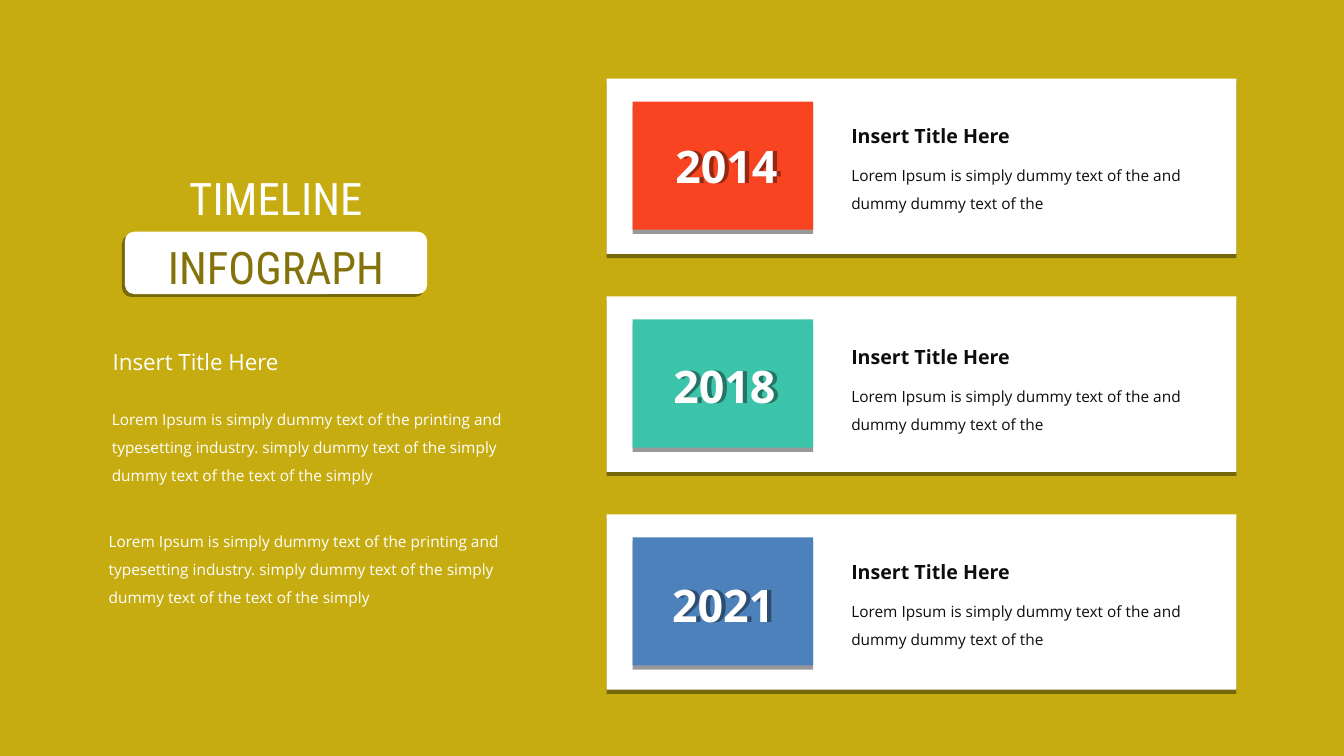
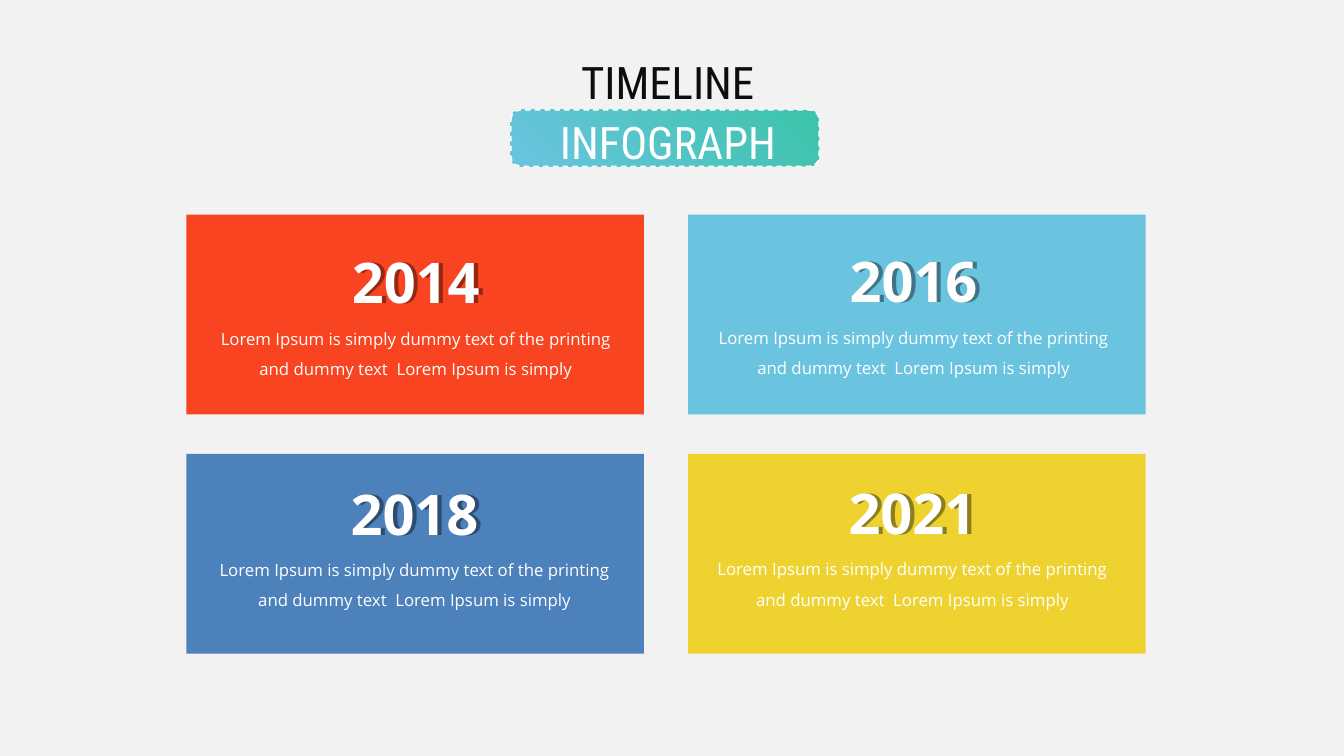
from lxml import etree
from pptx import Presentation
from pptx.dml.color import RGBColor
from pptx.enum import dml, shapes, text
from pptx.oxml import ns
from pptx.util import Cm, Pt

GOLD = RGBColor(0xC6, 0xAC, 0x10)
OLIVE = RGBColor(0x84, 0x73, 0x0B)
PALE = RGBColor(0xF2, 0xF2, 0xF2)
WHITE = RGBColor(0xFF, 0xFF, 0xFF)
INK = RGBColor(0x0D, 0x0D, 0x0D)
RED = RGBColor(0xF8, 0x44, 0x20)
TEAL = RGBColor(0x3C, 0xC4, 0xAA)
BLUE = RGBColor(0x4C, 0x81, 0xBC)
SKY = RGBColor(0x6A, 0xC4, 0xE0)
YELLOW = RGBColor(0xEE, 0xD3, 0x30)

BODY = "Open Sans"
HEAD = "Roboto Condensed"
LEFT, MID = text.PP_ALIGN.LEFT, text.PP_ALIGN.CENTER

LABEL = "Insert Title Here"
INTRO = ("Lorem Ipsum is simply dummy text of the printing and typesetting industry. "
         "simply dummy text of the simply dummy text of the text of the simply")
NOTE = "Lorem Ipsum is simply dummy text of the and dummy dummy text of the"
BLURB = ("Lorem Ipsum is simply dummy text of the printing "
         "and dummy text  Lorem Ipsum is simply")


def add_page(deck, color):
    """Add a blank slide with a plain background."""
    page = deck.slides.add_slide(deck.slide_layouts[6])
    page.background.fill.solid()
    page.background.fill.fore_color.rgb = color
    return page


def cast(shape, angle):
    """Give a shape a hard shadow thrown at an angle in degrees."""
    shape.shadow.inherit = False
    effect = shape.element.spPr.find(ns.qn("a:effectLst"))
    outer = etree.SubElement(effect, ns.qn("a:outerShdw"), blurRad="0",
                             dist=str(Pt(3)), dir=str(angle * 60000), rotWithShape="0")
    black = etree.SubElement(outer, ns.qn("a:srgbClr"), val="000000")
    etree.SubElement(black, ns.qn("a:alpha"), val="40000")


def add_box(page, x, y, w, h, color, curve=None):
    """Draw a filled box without a line, rounded if a curve is given."""
    kind = shapes.MSO_SHAPE.RECTANGLE if curve is None else shapes.MSO_SHAPE.ROUNDED_RECTANGLE
    box = page.shapes.add_shape(kind, Cm(x), Cm(y), Cm(w), Cm(h))
    if curve is not None:
        box.adjustments[0] = curve
    box.shadow.inherit = False
    box.fill.solid()
    box.fill.fore_color.rgb = color
    box.line.fill.background()
    return box


def add_text(page, x, y, w, h, words, size, color, face=BODY, align=LEFT, bold=False, space=None):
    """Place one paragraph of text."""
    box = page.shapes.add_textbox(Cm(x), Cm(y), Cm(w), Cm(h))
    box.text_frame.word_wrap = True
    para = box.text_frame.paragraphs[0]
    para.text = words
    para.alignment = align
    para.line_spacing = space
    font = para.font
    font.name, font.size, font.bold = face, Pt(size), bold
    font.color.rgb = color
    return box


def add_title(page, x, y, rise, top, low):
    """Write the two title words, the upper one a rise above the lower."""
    for word, left, head, wide, color in (("TIMELINE", x - 2.56, y - rise, 12.73, top),
                                          ("INFOGRAPH", x, y, 7.62, low)):
        add_text(page, left, head, wide, 1.6, word, 32, color, HEAD, MID)


def add_year(page, x, y, w, h, year, size):
    """Write a bold year with a shadow to its right."""
    cast(add_text(page, x, y, w, h, year, size, WHITE, align=MID, bold=True), 0)


def add_intro(page, x, y):
    """Place the title chip, subtitle and two paragraphs of the left column."""
    cast(add_box(page, x + 0.66, y + 1.67, 7.62, 1.57, WHITE, 0.146), 135)
    add_title(page, x + 0.66, y + 1.75, 1.75, WHITE, OLIVE)
    add_text(page, x + 0.1, y + 4.47, 10, 0.94, LABEL, 16, WHITE)
    for dx, dy in ((0.08, 5.81), (0, 8.89)):
        add_text(page, x + dx, y + dy, 10.98, 2.36, INTRO, 11, WHITE, space=1.5)


def add_card(page, x, y, year, color, shift, drop, head):
    """Place a white card with a year tile, a heading and a note."""
    cast(add_box(page, x, y, 15.88, 4.42, WHITE), 90)
    cast(add_box(page, x + 0.66, y + 0.58, 4.55, 3.23, color), 90)
    add_year(page, x + shift, y + drop, 4.47, 1.63, year, 32)
    add_text(page, x + 5.92, y + head, 9.96, 0.86, LABEL, 14, INK, bold=True)
    add_text(page, x + 5.92, y + head + 0.84, 9.96, 1.65, NOTE, 11, INK, space=1.5)


def add_panel(page, x, y, year, color, shift, drop):
    """Place a coloured panel with a year above a blurb."""
    add_box(page, x, y, 11.53, 5.03, color, 0)
    add_year(page, x + shift, y + drop, 4.7, 1.96, year, 40)
    add_text(page, x + shift - 2.84, y + drop + 1.78, 10.39, 1.78, BLURB, 12, WHITE,
             align=MID, space=1.5)


def add_badge(page, x, y):
    """Place the gradient chip with a dashed line and the title on it."""
    chip = add_box(page, x, y, 7.77, 1.42, TEAL, 0.167)
    chip.fill.gradient()
    chip.fill.gradient_angle = 225
    for stop, color in zip(chip.fill.gradient_stops, (TEAL, SKY)):
        stop.color.rgb = color
    chip.line.color.rgb = WHITE
    chip.line.width = Pt(1)
    chip.line.dash_style = dml.MSO_LINE.DASH
    add_title(page, x + 0.15, y, 1.52, INK, WHITE)


def build_list(deck):
    """Build the slide with an intro and three stacked cards."""
    page = add_page(deck, GOLD)
    add_intro(page, 2.49, 4.17)
    cards = (("2014", RED, 0.79, 1.4, 1.02), ("2018", TEAL, 0.74, 1.45, 1.09),
             ("2021", BLUE, 0.71, 1.47, 1.02))
    for row, card in enumerate(cards):
        add_card(page, 15.29, 1.98 + 5.49 * row, *card)


def build_grid(deck):
    """Build the slide with four panels in a grid."""
    page = add_page(deck, PALE)
    panels = (("2014", RED, 3.43, 0.71), ("2016", SKY, 3.33, 0.69),
              ("2018", BLUE, 3.4, 0.51), ("2021", YELLOW, 3.3, 0.49))
    for spot, panel in enumerate(panels):
        row, col = divmod(spot, 2)
        add_panel(page, 4.7 + 12.65 * col, 5.41 + 6.03 * row, *panel)
    add_badge(page, 12.88, 2.77)


def main():
    """Build and save the deck."""
    deck = Presentation()
    deck.slide_width, deck.slide_height = Cm(33.88), Cm(19.05)
    build_list(deck)
    build_grid(deck)
    deck.save("out.pptx")


if __name__ == "__main__":
    main()
